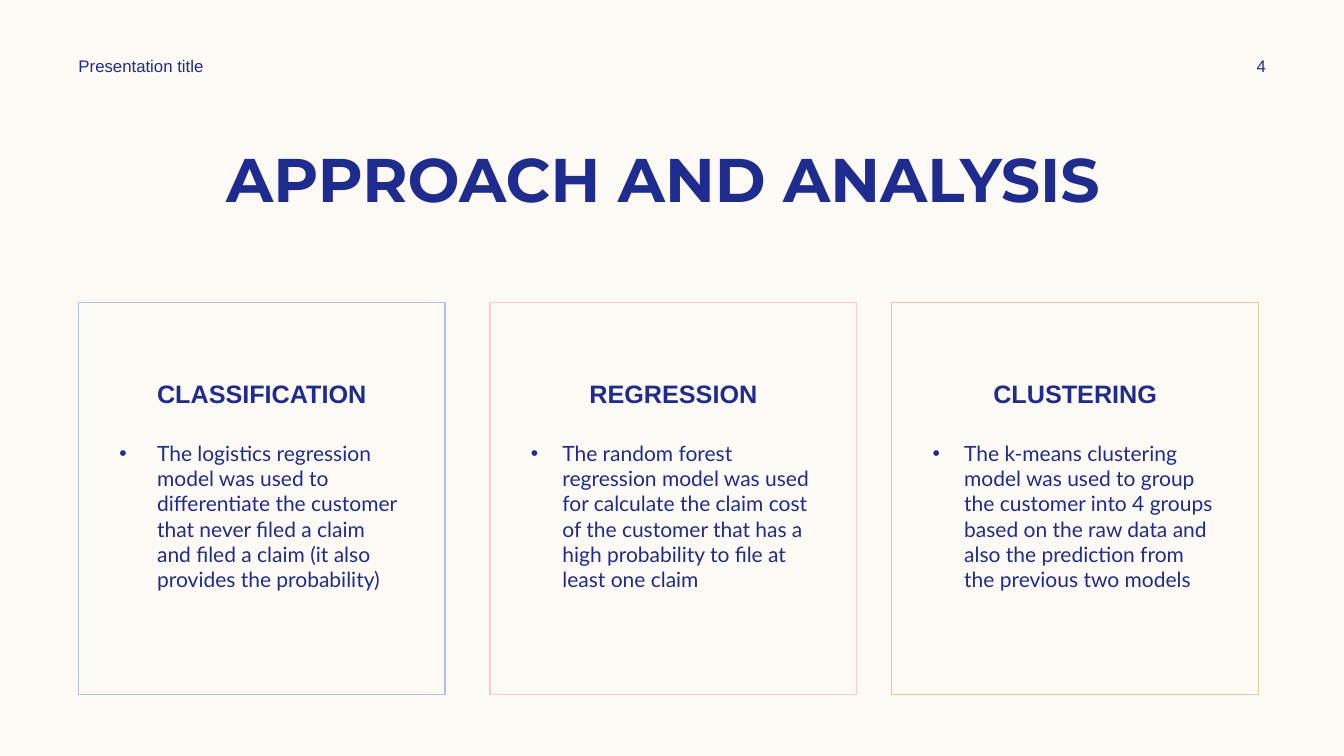
"""Build the approach and analysis slide with three method cards."""
from lxml.etree import SubElement
from pptx import Presentation
from pptx.dml.color import RGBColor
from pptx.enum.shapes import MSO_SHAPE as SHAPE
from pptx.enum.text import MSO_ANCHOR as ANCHOR, MSO_AUTO_SIZE as AUTO, PP_ALIGN as ALIGN
from pptx.oxml.ns import qn
from pptx.util import Pt

CREAM = RGBColor(0xFD, 0xFA, 0xF6)
NAVY = RGBColor(0x1F, 0x2C, 0x8F)
BLUE = RGBColor(0xAA, 0xC3, 0xE8)
PINK = RGBColor(0xF5, 0xCD, 0xCE)
GREEN = RGBColor(0xD2, 0xD5, 0x92)

TITLE = dict(name="Montserrat", size=Pt(44), bold=True)
HEADING = dict(name="Arial", size=Pt(18), bold=True)
LIST = dict(name="Lato", size=Pt(15), bold=False)
SMALL = dict(name="Arial", size=Pt(12), bold=False)

CARDS = [
    (56, BLUE, "CLASSIFICATION", 27,
     "The logistics regression model was used to differentiate the customer "
     "that never filed a claim and filed a claim (it also provides the probability)"),
    (350, PINK, "REGRESSION", 22.5,
     "The random forest regression model was used for calculate the claim cost "
     "of the customer that has a high probability to file at least one claim"),
    (637, GREEN, "CLUSTERING", 22.5,
     "The k-means clustering model was used to group the customer into 4 groups "
     "based on the raw data and also the prediction from the previous two models"),
]


class Deck:
    def __init__(self):
        self.prs = Presentation()
        self.prs.slide_width, self.prs.slide_height = Pt(960), Pt(540)
        self.s = self.prs.slides.add_slide(self.prs.slide_layouts[4])
        self.s.background.fill.solid()
        self.s.background.fill.fore_color.rgb = CREAM
        self.bodies = [ph for ph in self.s.placeholders if ph.placeholder_format.idx]

    def set_text(self, sp, text, style, align=ALIGN.LEFT, anchor=ANCHOR.TOP):
        tf = sp.text_frame
        frame = dict(word_wrap=True, auto_size=AUTO.NONE, vertical_anchor=anchor)
        for key, value in frame.items():
            setattr(tf, key, value)
        p = tf.paragraphs[0]
        p.alignment = align
        r = p.add_run()
        r.text = text
        for key, value in style.items():
            setattr(r.font, key, value)
        r.font.color.rgb = NAVY
        return p

    def place(self, sp, x, y, w, h):
        sp.left, sp.top, sp.width, sp.height = Pt(x), Pt(y), Pt(w), Pt(h)

    def title(self, text, *box):
        sp = self.s.shapes.title
        self.place(sp, *box)
        self.set_text(sp, text, TITLE, ALIGN.CENTER)

    def label(self, text, align, *box):
        sp = self.s.shapes.add_textbox(*map(Pt, box))
        self.set_text(sp, text, SMALL, align, ANCHOR.MIDDLE)

    def card(self, text, color, *box):
        sp = self.s.shapes.add_shape(SHAPE.RECTANGLE, *map(Pt, box))
        sp.shadow.inherit = False
        sp.fill.background()
        sp.line.color.rgb = color
        sp.line.width = Pt(1)
        sp.text_frame.margin_top = Pt(54)
        self.set_text(sp, text, HEADING, ALIGN.CENTER)

    def bullet(self, text, indent, *box):
        sp = self.bodies.pop(0)
        self.place(sp, *box)
        p = self.set_text(sp, text, LIST)
        p.space_before = Pt(3.6)
        pPr = p._p.get_or_add_pPr()
        pPr.set("marL", str(Pt(indent)))
        pPr.set("indent", str(-Pt(indent)))
        SubElement(pPr, qn("a:buFont"), typeface="Arial")
        SubElement(pPr, qn("a:buChar"), char="•")

    def save(self):
        for sp in self.bodies:
            sp.element.getparent().remove(sp.element)
        self.prs.save("out.pptx")


def main():
    deck = Deck()
    deck.title("APPROACH AND ANALYSIS ", 60, 97, 840, 60.5)
    deck.label("Presentation title", ALIGN.LEFT, 49, 36, 252, 21.6)
    deck.label("4", ALIGN.CENTER, 862, 36, 78, 21.6)
    for x, color, heading, indent, text in CARDS:
        deck.card(heading, color, x, 216, 262, 280)
        deck.bullet(text, indent, x + 22, 311, 218, 173.5)
    deck.save()


if __name__ == "__main__":
    main()
